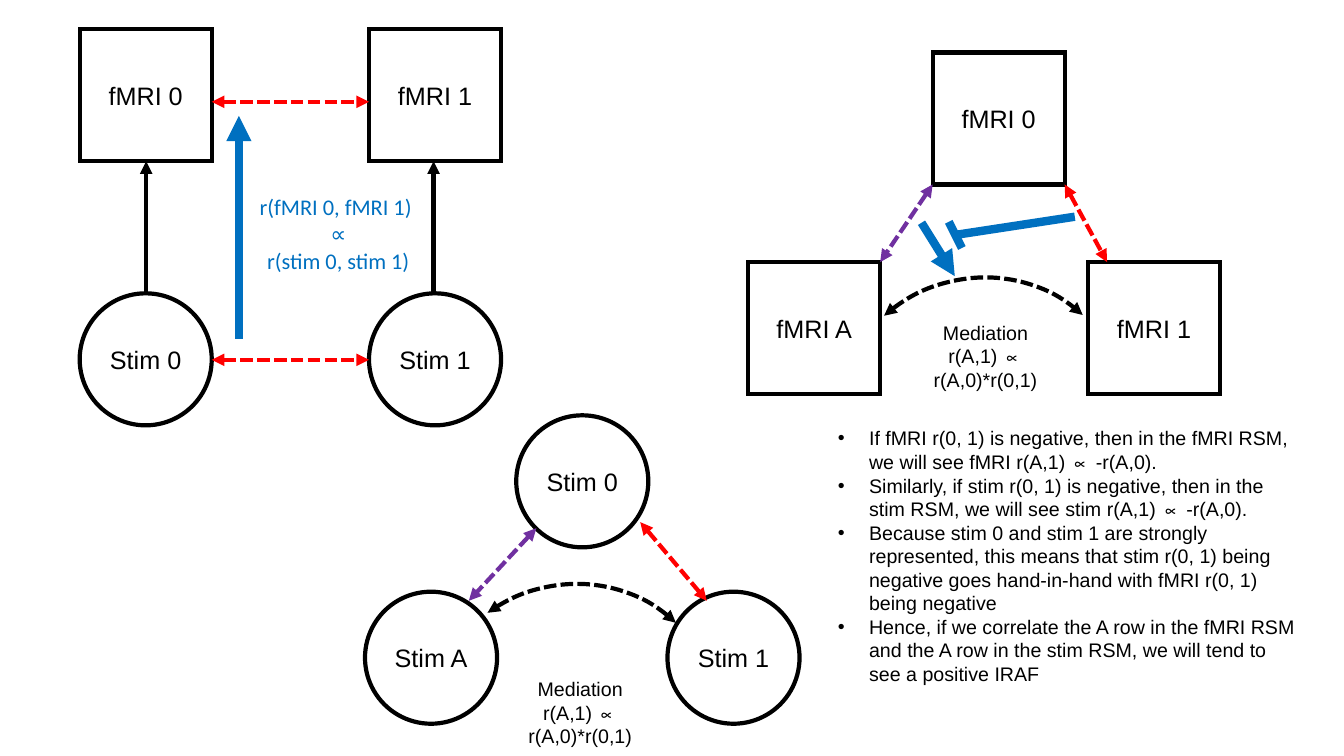
from dataclasses import dataclass

from lxml import etree
from pptx import Presentation
from pptx.dml.color import RGBColor
from pptx.enum.dml import MSO_LINE
from pptx.enum.shapes import MSO_CONNECTOR, MSO_SHAPE
from pptx.enum.text import MSO_ANCHOR, MSO_AUTO_SIZE, PP_ALIGN
from pptx.oxml.ns import qn
from pptx.util import Inches, Pt

SQUARE, CIRCLE, ARC = MSO_SHAPE.RECTANGLE, MSO_SHAPE.OVAL, MSO_SHAPE.ARC
STRAIGHT = MSO_CONNECTOR.STRAIGHT
DASHED = MSO_LINE.SQUARE_DOT
LEFT, CENTER = PP_ALIGN.LEFT, PP_ALIGN.CENTER
TOP, MIDDLE = MSO_ANCHOR.TOP, MSO_ANCHOR.MIDDLE
NO_AUTOFIT = MSO_AUTO_SIZE.NONE

BLACK, WHITE = "000000", "FFFFFF"
RED, PURPLE, BLUE = "FF0000", "7030A0", "0070C0"
NODE_SIZE = 1.31
LAYOUT_TITLE_AND_CONTENT = 1


@dataclass
class Node:
    label: str
    left: float
    top: float

    @property
    def outline(self):
        return CIRCLE if self.label.startswith("Stim") else SQUARE


@dataclass
class Link:
    start: tuple[float, float]
    end: tuple[float, float]
    color: str
    width: float = 3
    dashed: bool = False
    head: bool = False
    tail: bool = True


@dataclass
class Mediation:
    arc_left: float
    arc_top: float
    rotation: float
    start_angle: float
    end_angle: float
    caption_left: float
    caption_top: float


def correlation(start: tuple[float, float], end: tuple[float, float], color: str) -> Link:
    return Link(start, end, color, dashed=True, head=True)


NODES = [
    Node("fMRI 0", 0.79, 0.29),
    Node("fMRI 1", 3.66, 0.29),
    Node("Stim 0", 0.79, 2.91),
    Node("Stim 1", 3.66, 2.91),
    Node("fMRI 0", 9.25, 0.52),
    Node("fMRI A", 7.42, 2.6),
    Node("fMRI 1", 10.79, 2.6),
    Node("Stim 0", 5.12, 4.12),
    Node("Stim A", 3.62, 5.87),
    Node("Stim 1", 6.62, 5.87),
]

LINKS = [
    Link((1.45, 2.91), (1.45, 1.6), BLACK),
    Link((4.3, 2.91), (4.3, 1.6), BLACK),
    correlation((2.1, 3.57), (3.66, 3.57), RED),
    correlation((2.1, 1.01), (3.66, 1.01), RED),
    Link((2.37, 3.36), (2.37, 1.15), BLUE, width=6),
    correlation((10.56, 1.83), (10.98, 2.6), RED),
    correlation((9.25, 1.83), (8.73, 2.6), PURPLE),
    Link((9.48, 2.33), (10.66, 2.15), BLUE, width=6, tail=False),
    Link((9.14, 2.21), (9.47, 2.74), BLUE, width=6),
    Link((9.41, 2.2), (9.54, 2.46), BLUE, width=6, tail=False),
    correlation((5.32, 5.24), (4.65, 5.96), PURPLE),
    correlation((6.35, 5.18), (7.01, 5.96), RED),
]

MEDIATIONS = [
    Mediation(8.21, 2.78, 319, 270, 354.34, 8.79, 3.13),
    Mediation(4.16, 5.82, 319.8, 275.17, 354.34, 4.77, 6.67),
]

CONCLUSIONS = [
    "If fMRI r(0, 1) is negative, then in the fMRI RSM, we will see fMRI r(A,1) ∝ -r(A,0).",
    "Similarly, if stim r(0, 1) is negative, then in the stim RSM, we will see stim r(A,1) ∝ -r(A,0).",
    "Because stim 0 and stim 1 are strongly represented, this means that stim r(0, 1) being "
    "negative goes hand-in-hand with fMRI r(0, 1) being negative",
    "Hence, if we correlate the A row in the fMRI RSM and the A row in the stim RSM, "
    "we will tend to see a positive IRAF",
]


def rgb(color: str) -> RGBColor:
    return RGBColor.from_string(color)


def write(shape, text: str, *, size: float, font: str = "Arial", color: str = BLACK,
          align=CENTER, anchor=TOP, wrap: bool = True, side_margin: float = 0.1,
          bullet: str = "") -> None:
    frame = shape.text_frame
    frame.text = text
    frame.auto_size = NO_AUTOFIT
    frame.word_wrap = wrap
    frame.vertical_anchor = anchor
    frame.margin_left = frame.margin_right = Inches(side_margin)
    if bullet:
        for element in shape.element.iter(qn("a:p")):
            properties = element.get_or_add_pPr()
            properties.set("marL", str(Inches(0.31)))
            properties.set("indent", str(-Inches(0.31)))
            etree.SubElement(properties, qn("a:buChar")).set("char", bullet)
    for paragraph in frame.paragraphs:
        paragraph.alignment = align
        paragraph.space_before = Pt(0)
        for run in paragraph.runs:
            run.font.size = Pt(size)
            run.font.name = font
            run.font.color.rgb = rgb(color)


def stroke(shape, color: str, width: float = 3, dashed: bool = False,
           head: bool = False, tail: bool = False) -> None:
    shape.line.color.rgb = rgb(color)
    shape.line.width = Pt(width)
    if dashed:
        shape.line.dash_style = DASHED
    outline = shape.element.spPr.find(qn("a:ln"))
    etree.SubElement(outline, qn("a:miter")).set("lim", "800000")
    for tag, present in (("a:headEnd", head), ("a:tailEnd", tail)):
        if present:
            etree.SubElement(outline, qn(tag)).set("type", "triangle")


def draw_node(slide, node: Node) -> None:
    shape = slide.shapes.add_shape(node.outline, Inches(node.left), Inches(node.top),
                                   Inches(NODE_SIZE), Inches(NODE_SIZE))
    shape.shadow.inherit = False
    shape.fill.solid()
    shape.fill.fore_color.rgb = rgb(WHITE)
    stroke(shape, BLACK)
    write(shape, node.label, size=18, anchor=MIDDLE, wrap=False)


def draw_link(slide, link: Link) -> None:
    ends = [Inches(value) for value in (*link.start, *link.end)]
    connector = slide.shapes.add_connector(STRAIGHT, *ends)
    stroke(connector, link.color, link.width, link.dashed, link.head, link.tail)
    etree.SubElement(connector.element.spPr, qn("a:effectLst"))


def draw_mediation(slide, mediation: Mediation) -> None:
    arc = slide.shapes.add_shape(ARC, Inches(mediation.arc_left), Inches(mediation.arc_top),
                                 Inches(3), Inches(2.87))
    arc.adjustments[0] = mediation.start_angle * 0.6
    arc.adjustments[1] = mediation.end_angle * 0.6
    arc.rotation = mediation.rotation
    arc.shadow.inherit = False
    arc.fill.background()
    stroke(arc, BLACK, dashed=True, head=True, tail=True)
    caption = slide.shapes.add_textbox(Inches(mediation.caption_left), Inches(mediation.caption_top),
                                       Inches(1.97), Inches(0.57))
    write(caption, "Mediation\nr(A,1) ∝ r(A,0)*r(0,1)", size=14, side_margin=0.3)


def main() -> None:
    presentation = Presentation()
    presentation.slide_width, presentation.slide_height = Inches(13.33), Inches(7.5)
    slide = presentation.slides.add_slide(
        presentation.slide_layouts[LAYOUT_TITLE_AND_CONTENT])
    title = slide.shapes.title.element
    title.getparent().remove(title)

    for node in NODES:
        draw_node(slide, node)
    for link in LINKS:
        draw_link(slide, link)
    for mediation in MEDIATIONS:
        draw_mediation(slide, mediation)

    proportionality = slide.shapes.add_textbox(Inches(1.39), Inches(1.87), Inches(3.93), Inches(0.91))
    write(proportionality, "r(fMRI 0, fMRI 1) \n∝\nr(stim 0, stim 1)",
          size=16, font="Calibri", color=BLUE)

    conclusions = slide.placeholders[1]
    conclusions.left, conclusions.top = Inches(8.21), Inches(4.18)
    conclusions.width, conclusions.height = Inches(4.74), Inches(3.3)
    write(conclusions, "\n".join(CONCLUSIONS), size=14, align=LEFT, bullet="•")

    presentation.save("out.pptx")


if __name__ == "__main__":
    main()
